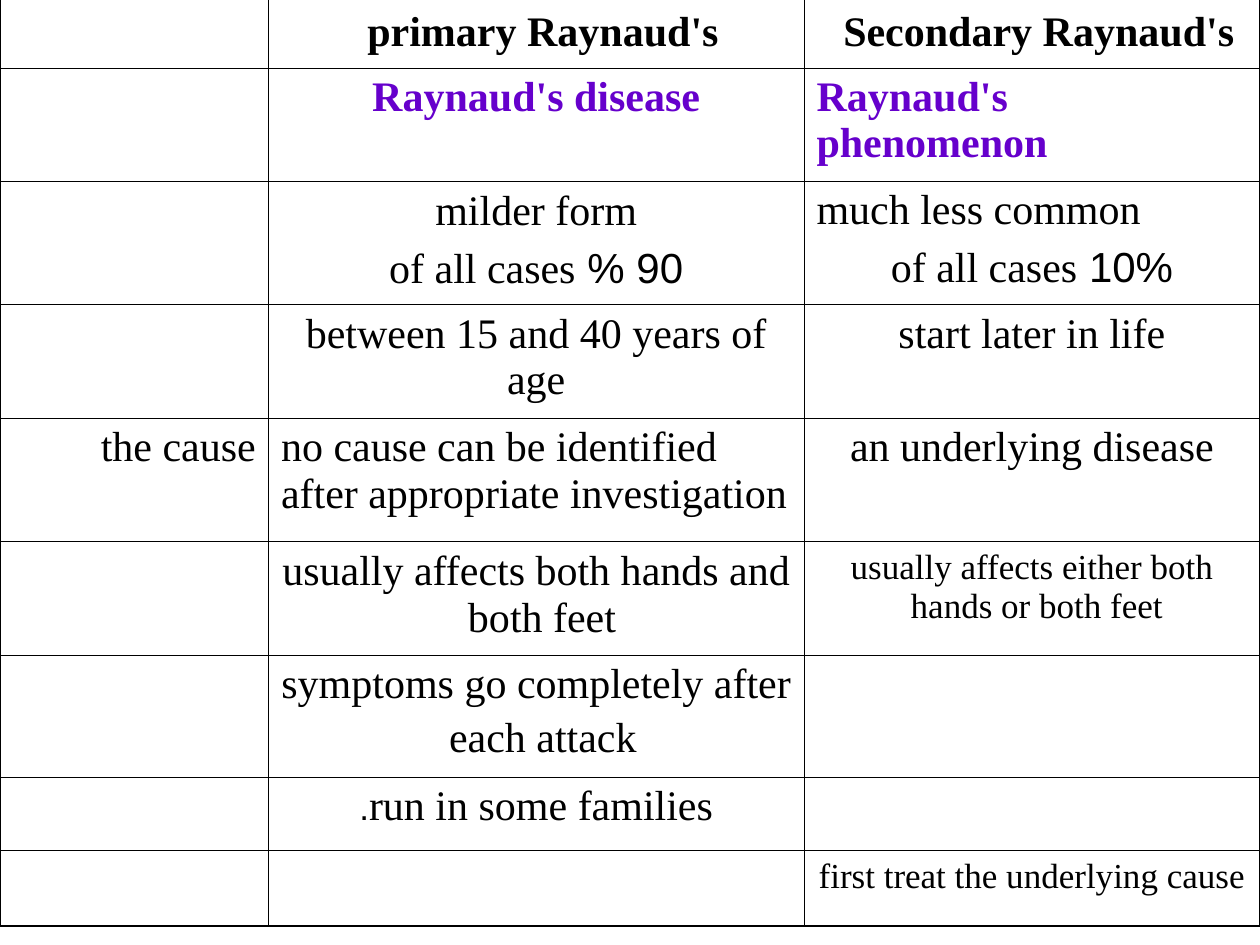
from lxml import etree
from pptx import Presentation
from pptx.dml.color import RGBColor
from pptx.enum import text
from pptx.oxml import ns
from pptx.util import Pt

BLACK = RGBColor(0x00, 0x00, 0x00)
PURPLE = RGBColor(0x66, 0x00, 0xCC)
LATIN_FONT = "Times New Roman"
DIGIT_FONT = "Arial"
THIN, THICK = 0.45, 1.08
LEFT, CENTER, RIGHT = text.PP_ALIGN.LEFT, text.PP_ALIGN.CENTER, text.PP_ALIGN.RIGHT

COLUMN_WIDTHS = (153.4, 306, 260.6)
ROW_HEIGHTS = (41, 64.8, 70.6, 64.8, 70.6, 64.8, 69.8, 41.8, 43.2)

COMPARISON = {
    (0, 1): [("primary Raynaud's", dict(bold=True, tail=" ", tail_size=28))],
    (0, 2): [("Secondary Raynaud's", dict(bold=True, tail=" ", tail_size=28))],
    (1, 1): [("Raynaud's disease", dict(bold=True, color=PURPLE))],
    (1, 2): [("Raynaud's phenomenon", dict(bold=True, color=PURPLE, align=LEFT))],
    (2, 1): [(" milder form ", {}), ("90 % of all cases", dict(before=6))],
    (2, 2): [("much less common", dict(align=LEFT)),
             ("10% of all cases", dict(before=6))],
    (3, 1): [("between 15 and 40 years of age", {})],
    (3, 2): [("start later in life", {})],
    (4, 0): [("the cause", dict(align=RIGHT))],
    (4, 1): [("no cause can be identified after appropriate investigation",
              dict(align=LEFT))],
    (4, 2): [("an underlying disease", {})],
    (5, 1): [("usually affects both hands and both feet ", {})],
    (5, 2): [("usually affects either both hands or both feet ", dict(size=20))],
    (6, 1): [("symptoms go completely after each attack",
              dict(tail=" ", tail_size=28))],
    (7, 1): [("run in some families", dict(tail=".", tail_size=20))],
    (8, 2): [("first treat the underlying cause ", dict(size=20))],
}


def write_text(paragraph, words, size=24, bold=False, color=BLACK, align=CENTER,
               before=0, tail="", tail_size=24):
    """Fill a right-to-left paragraph with words and an optional resized tail."""
    paragraph.alignment = align
    paragraph.space_before = Pt(before)
    paragraph._p.get_or_add_pPr().set("rtl", "1")
    for content, points, weight in ((words, size, bold), (tail, tail_size, False)):
        if not content:
            continue
        run = paragraph.add_run()
        run.text = content
        run.font.size = Pt(points)
        run.font.bold = weight
        run.font.name = LATIN_FONT
        run.font.color.rgb = color
        complex_font = etree.SubElement(run.font._element, ns.qn("a:cs"))
        complex_font.set("typeface", DIGIT_FONT)


def draw_borders(cell, **widths):
    """Give the cell's sides L, R, T and B solid black lines."""
    properties = cell._tc.get_or_add_tcPr()
    for side in "LRTB":
        line = etree.SubElement(properties, ns.qn(f"a:ln{side}"))
        line.set("w", str(int(Pt(widths[side]))))
        fill = etree.SubElement(line, ns.qn("a:solidFill"))
        etree.SubElement(fill, ns.qn("a:srgbClr")).set("val", str(BLACK))


def add_comparison(slide, left, top, width, height):
    """Place the table comparing the primary and secondary forms."""
    last_row, last_column = len(ROW_HEIGHTS) - 1, len(COLUMN_WIDTHS) - 1
    table = slide.shapes.add_table(last_row + 1, last_column + 1, Pt(left), Pt(top),
                                   Pt(width), Pt(height)).table
    table.first_row = table.horz_banding = False
    for column, column_width in zip(table.columns, COLUMN_WIDTHS):
        column.width = Pt(column_width)
    for r, row_height in enumerate(ROW_HEIGHTS):
        table.rows[r].height = Pt(row_height)
        for c in range(last_column + 1):
            cell = table.cell(r, c)
            draw_borders(cell,
                         L=THICK if c == 0 else THIN,
                         R=THICK if c == last_column else THIN,
                         T=THICK if r == 0 else THIN,
                         B=THICK if r == last_row else THIN)
            cell.fill.background()
            for i, (words, style) in enumerate(COMPARISON.get((r, c), [])):
                frame = cell.text_frame
                paragraph = frame.add_paragraph() if i else frame.paragraphs[0]
                write_text(paragraph, words, **style)


def main():
    """Build the slide and save it."""
    deck = Presentation()
    deck.slide_width, deck.slide_height = Pt(720), Pt(540)
    slide = deck.slides.add_slide(deck.slide_layouts[6])
    add_comparison(slide, 0, -2.2, sum(COLUMN_WIDTHS), sum(ROW_HEIGHTS))
    deck.save("out.pptx")


if __name__ == "__main__":
    main()
